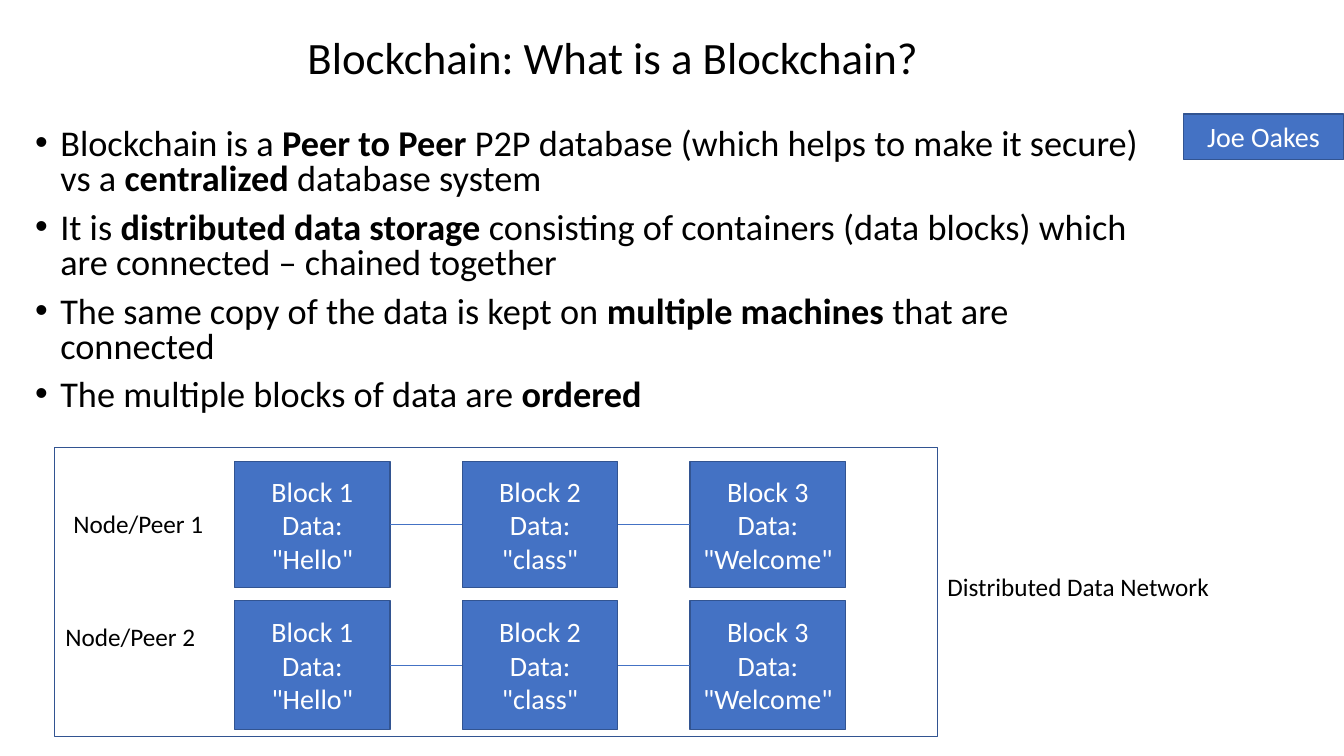
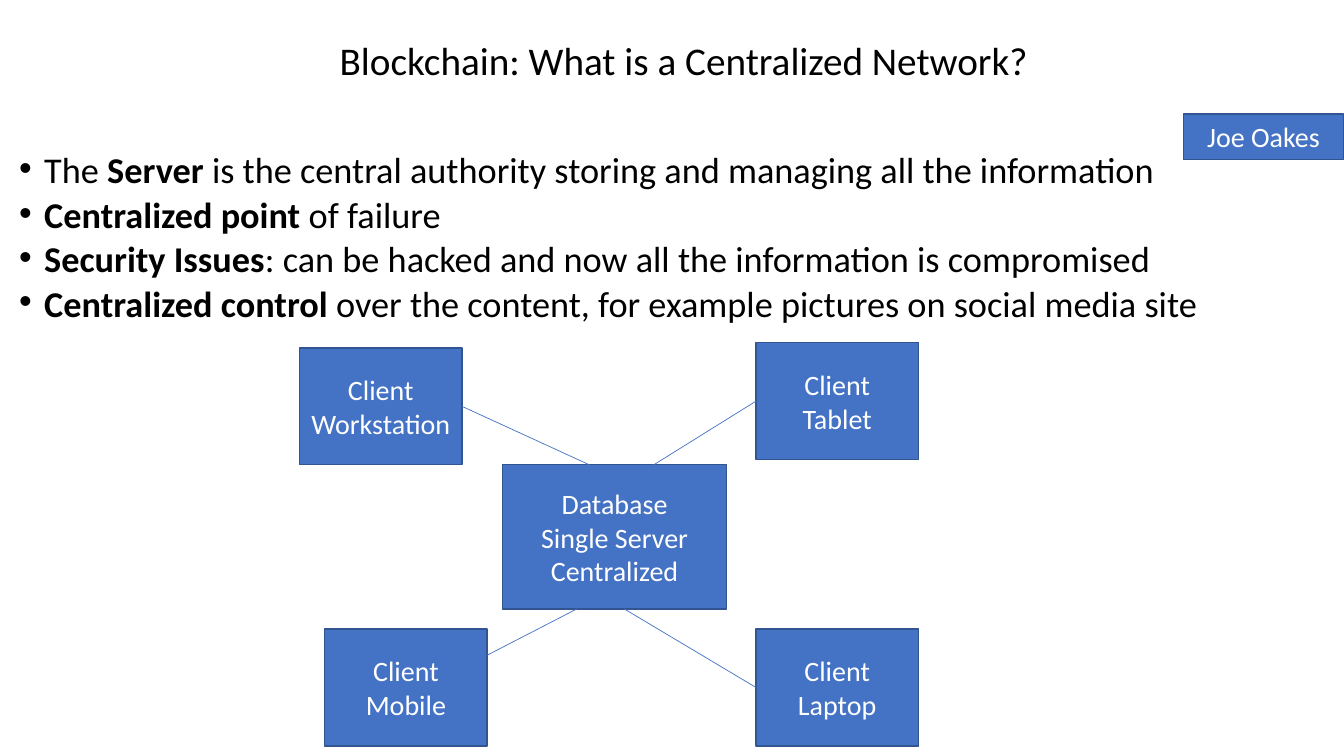
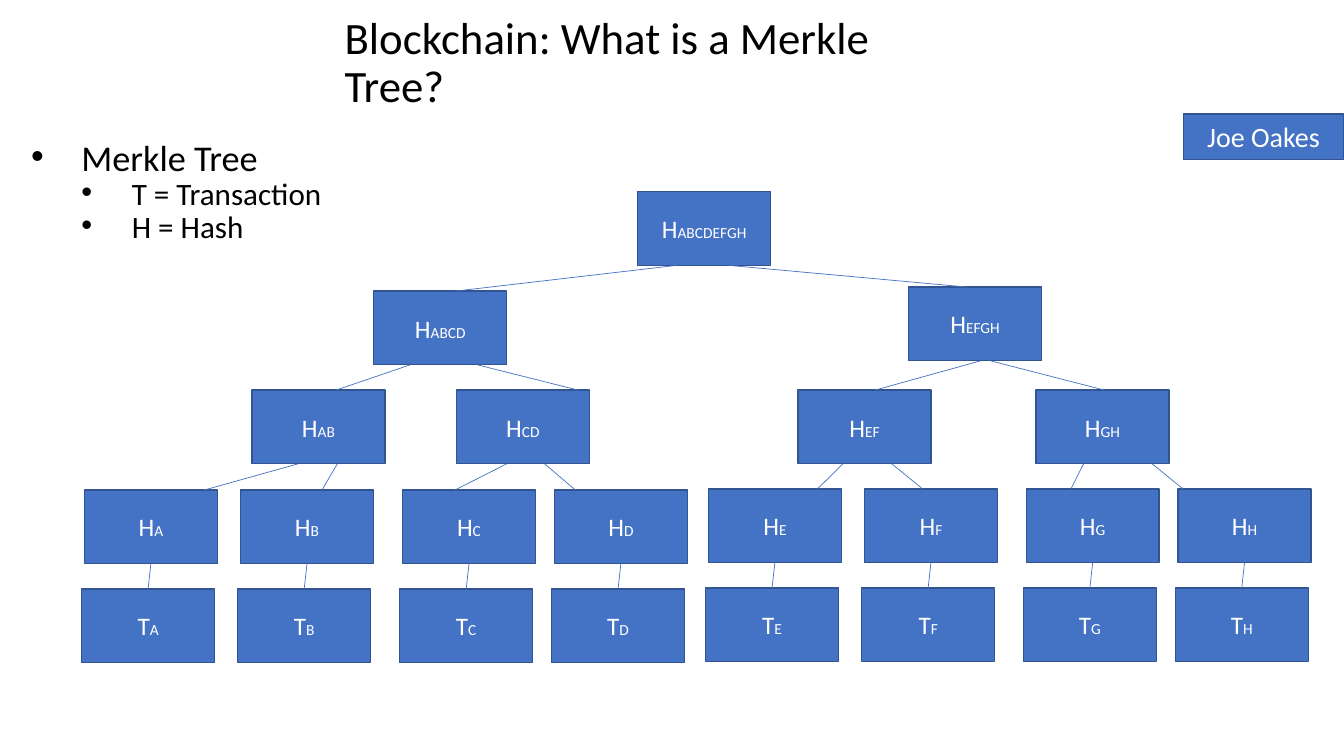
from lxml.etree import SubElement
from pptx import Presentation
from pptx.dml.color import RGBColor
from pptx.enum.shapes import MSO_CONNECTOR as CONNECTOR, MSO_SHAPE as SHAPE
from pptx.enum.text import MSO_ANCHOR as ANCHOR, MSO_AUTO_SIZE as AUTO_SIZE, PP_ALIGN as ALIGN
from pptx.oxml.ns import qn
from pptx.util import Pt

FONT = "Calibri"
BLACK, WHITE, BLUE, NAVY = "000000", "FFFFFF", "4472C4", "325491"
TOP, LEFT, BOTTOM, RIGHT = range(4)
NODE_WIDTH, NODE_HEIGHT = 95, 52.6

CLIENTS = [
    ("Workstation", 214, 248.5, RIGHT, (421, 332)),
    ("Tablet", 540, 244.8, LEFT, (467, 332)),
    ("Mobile", 232, 449.3, (348, 468), (412, 435)),
    ("Laptop", 540, 449.3, LEFT, (446, 435)),
]

BRANCHES = [
    ("ABCD", "ABCDEFGH", 267, 208, 483, 325),
    ("EFGH", "ABCDEFGH", 649, 205, 521, 690),
    ("AB", "ABCD", 180, 278.7, 293, 240),
    ("CD", "ABCD", 326, 278.7, 341, 413),
    ("EF", "EFGH", 570, 278.7, 701, 625),
    ("GH", "EFGH", 740, 278.7, 707, 789),
    ("A", "AB", 60.3, 350, 213, 146),
    ("B", "AB", 171.8, 350, 241, 230),
    ("C", "CD", 287.5, 350, 362, 325),
    ("D", "CD", 396, 350, 389, 411),
    ("E", "EF", 506, 349.2, 602, 584),
    ("F", "EF", 617.5, 349.2, 637, 659),
    ("G", "GH", 733, 349.2, 774, 765),
    ("H", "GH", 841.5, 349.2, 823, 845),
]


def color(value):
    """Turn a hex string into a colour."""
    return RGBColor.from_string(value)


def style(paragraph, size, tone):
    """Set the font of a whole paragraph."""
    font = paragraph.font
    font.name, font.size = FONT, Pt(size)
    font.color.rgb = color(tone)


def place(shape, box):
    """Move and size a shape."""
    shape.left, shape.top, shape.width, shape.height = map(Pt, box)


def start_slide(presentation, title, box, size=32):
    """Add a slide with its title and the author tag."""
    slide = presentation.slides.add_slide(presentation.slide_layouts[5])
    shape = slide.shapes.title
    place(shape, box)
    frame = shape.text_frame
    frame.text = title
    frame.word_wrap, frame.auto_size = True, AUTO_SIZE.NONE
    frame.vertical_anchor = ANCHOR.MIDDLE
    paragraph = frame.paragraphs[0]
    paragraph.alignment, paragraph.line_spacing = ALIGN.LEFT, 0.9
    style(paragraph, size, BLACK)
    add_box(slide, (845.3, 81.4, 114.5, 32.4), ["Joe Oakes"])
    return slide


def add_box(slide, box, lines=(), fill=BLUE):
    """Add a bordered rectangle with centred lines of text."""
    shape = slide.shapes.add_shape(SHAPE.RECTANGLE, *map(Pt, box))
    shape.shadow.inherit = False
    if fill:
        shape.fill.solid()
        shape.fill.fore_color.rgb = color(fill)
    else:
        shape.fill.background()
    shape.line.color.rgb, shape.line.width = color(NAVY), Pt(1)
    frame = shape.text_frame
    frame.word_wrap, frame.vertical_anchor = True, ANCHOR.MIDDLE
    for index, line in enumerate(lines):
        paragraph = frame.add_paragraph() if index else frame.paragraphs[0]
        paragraph.text, paragraph.alignment = line, ALIGN.CENTER
        style(paragraph, 20, WHITE)
    return shape


def add_node(slide, left, top, letter, index):
    """Add a tree node: a letter followed by its small index."""
    shape = add_box(slide, (left, top, NODE_WIDTH, NODE_HEIGHT))
    paragraph = shape.text_frame.paragraphs[0]
    paragraph.alignment = ALIGN.CENTER
    style(paragraph, 18, WHITE)
    for text, size in ((letter, 18), (index, 11)):
        run = paragraph.add_run()
        run.text, run.font.size = text, Pt(size)
    return shape


def add_link(slide, start, end):
    """Add a thin line between points (x, y) or joints (shape, side)."""
    ends = (start, end)
    points = [(0, 0) if hasattr(first, "shape_id") else (first, second) for first, second in ends]
    link = slide.shapes.add_connector(CONNECTOR.STRAIGHT, *(Pt(value) for point in points for value in point))
    for (first, side), join in zip(ends, (link.begin_connect, link.end_connect)):
        if hasattr(first, "shape_id"):
            join(first, side)
    link.line.color.rgb, link.line.width = color(BLUE), Pt(0.5)
    SubElement(link._element.spPr, qn("a:effectLst"))


def add_text(slide, box):
    """Add an empty wrapping text box and return its frame."""
    frame = slide.shapes.add_textbox(*map(Pt, box)).text_frame
    frame.word_wrap = True
    return frame


def add_label(slide, left, top, width, text):
    """Add a one-line label."""
    paragraph = add_text(slide, (left, top, width, 29)).paragraphs[0]
    paragraph.text = text
    style(paragraph, 18, BLACK)


def add_bullets(slide, box, items, spacing, indent=18):
    """Add bullets from (level, text) pairs, with ** around bold words."""
    frame = add_text(slide, box)
    for index, (level, text) in enumerate(items):
        paragraph = frame.add_paragraph() if index else frame.paragraphs[0]
        paragraph.level = level
        properties = paragraph._p.get_or_add_pPr()
        properties.set("marL", str(Pt(indent * (level + 1))))
        properties.set("indent", str(Pt(-indent)))
        SubElement(properties, qn("a:buFont")).set("typeface", "Arial")
        SubElement(properties, qn("a:buChar")).set("char", "•")
        paragraph.line_spacing = spacing
        paragraph.space_before = Pt(5 if level else 10)
        style(paragraph, 22.2 if level else 25.9, BLACK)
        for position, part in enumerate(text.split("**")):
            if part:
                run = paragraph.add_run()
                run.text, run.font.bold = part, position % 2 == 1


def build_blockchain(presentation):
    """Build the slide on blocks copied to several peers."""
    slide = start_slide(presentation, "Blockchain: What is a Blockchain?", (212.4, 0, 595.4, 85.7))
    add_bullets(slide, (18, 88.6, 814.3, 220.3), [
        (0, "Blockchain is a **Peer to Peer **P2P database (which helps to make it secure) "
            "vs a **centralized** database system"),
        (0, "It is **distributed data storage** consisting of containers (data blocks) "
            "which are connected – chained together"),
        (0, "The same copy of the data is kept on **multiple machines** that are connected"),
        (0, "The multiple blocks of data are **ordered**"),
    ], 0.8)
    add_box(slide, (38.9, 319.7, 630.7, 206.6), fill=None)
    for top, height in ((329.6, 90), (429, 92)):
        previous = None
        for number, word in enumerate(("Hello", "class", "Welcome")):
            block = add_box(slide, (167.6 + 162.7 * number, top, 111, height),
                            [f"Block {number + 1}", f'Data: "{word}"'])
            if previous:
                add_link(slide, (previous, RIGHT), (block, LEFT))
            previous = block
    add_label(slide, 45.4, 359.3, 131.8, "Node/Peer 1")
    add_label(slide, 39.6, 440.6, 131.8, "Node/Peer 2")
    add_label(slide, 669.6, 404.5, 215.3, "Distributed Data Network")


def build_centralized(presentation):
    """Build the slide on one server and its clients."""
    slide = start_slide(presentation, "Blockchain: What is a Centralized Network?", (235.4, 18, 509, 53.3), 28)
    add_bullets(slide, (6.5, 110.2, 949, 133.2), [
        (0, "The **Server** is the central authority storing and managing all the information"),
        (0, "**Centralized point** of failure"),
        (0, "**Security Issues**: can be hacked and now all the information is compromised"),
        (0, "**Centralized control** over the content, for example pictures on social media site"),
    ], 0.7)
    add_box(slide, (359, 332, 160, 103), ["Database", "Single Server", "Centralized"])
    for name, left, top, joint, server_point in CLIENTS:
        client = add_box(slide, (left, top, 116, 83.5), ["Client", name])
        add_link(slide, joint if isinstance(joint, tuple) else (client, joint), server_point)


def build_merkle_tree(presentation):
    """Build the slide on the tree of hashes."""
    slide = start_slide(presentation, "Blockchain: What is a Merkle Tree?", (239, 10, 460, 71.3))
    add_bullets(slide, (15.1, 101.5, 234.7, 83.5),
                [(0, "Merkle Tree"), (1, "T = Transaction"), (1, "H = Hash")], 0.7, 36)
    tops = {"ABCDEFGH": 137}
    add_node(slide, 455.5, tops["ABCDEFGH"], "H", "ABCDEFGH")
    for index, parent, left, top, parent_x, child_x in BRANCHES:
        tops[index] = top
        node = add_node(slide, left, top, "H", index)
        add_link(slide, (parent_x, tops[parent] + NODE_HEIGHT), (child_x, top))
        if len(index) == 1:
            transaction = add_node(slide, left - 2, top + 70.7, "T", index)
            add_link(slide, (node, BOTTOM), (transaction, TOP))


def main():
    """Build and save the presentation."""
    presentation = Presentation()
    presentation.slide_width, presentation.slide_height = Pt(960), Pt(540)
    build_blockchain(presentation)
    build_centralized(presentation)
    build_merkle_tree(presentation)
    presentation.save("out.pptx")


if __name__ == "__main__":
    main()
